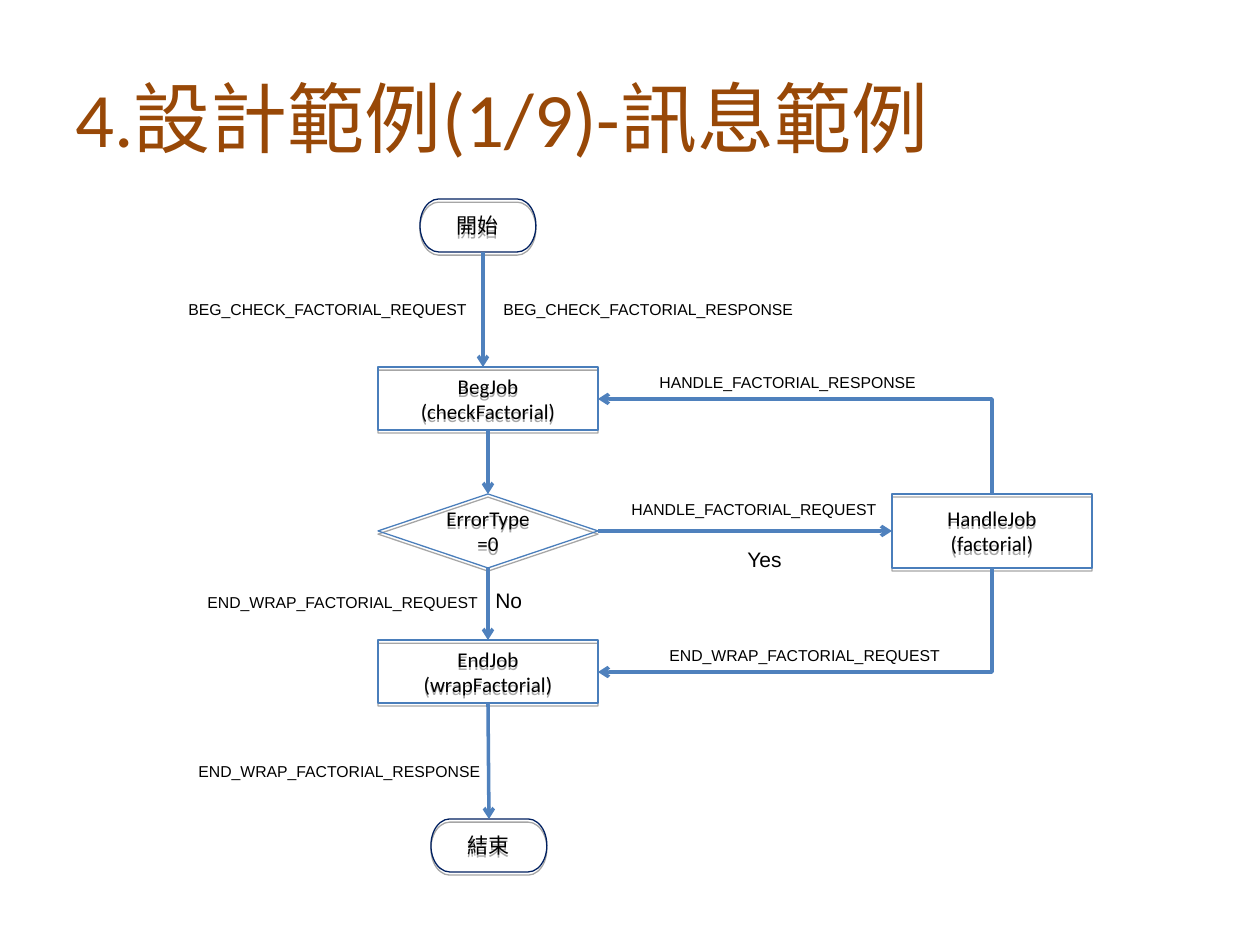
"""Build the message example flowchart slide."""
from dataclasses import dataclass

from lxml import etree
from pptx import Presentation
from pptx.dml.color import RGBColor
from pptx.enum.shapes import MSO_CONNECTOR, MSO_SHAPE
from pptx.enum.text import MSO_ANCHOR, PP_ALIGN
from pptx.oxml.ns import qn
from pptx.util import Pt

STRAIGHT, ELBOW = MSO_CONNECTOR.STRAIGHT, MSO_CONNECTOR.ELBOW
RECT = MSO_SHAPE.RECTANGLE
TERMINATOR = MSO_SHAPE.FLOWCHART_TERMINATOR
DECISION = MSO_SHAPE.FLOWCHART_DECISION
LEFT, CENTER = PP_ALIGN.LEFT, PP_ALIGN.CENTER
TOP, MIDDLE = MSO_ANCHOR.TOP, MSO_ANCHOR.MIDDLE
TOP_SIDE, LEFT_SIDE, BOTTOM_SIDE, RIGHT_SIDE = range(4)
EMU_PER_PX = 914400 / 126


@dataclass(frozen=True)
class Theme:
    heading: str = "984807"
    text: str = "000000"
    terminator: str = "002060"
    box: str = "4A7EBB"
    arrow: str = "4F81BD"
    shadow: str = "000000"
    title_size: int = 44
    node_size: int = 12
    label_size: int = 9
    box_width: float = 0.75
    arrow_width: int = 2
    node_font: str = "Calibri"
    label_font: str = "Arial"


def px(*values):
    return [round(v * EMU_PER_PX) for v in values]


def write(tf, text, *, size, font, color, align=LEFT, anchor=TOP):
    tf.word_wrap = True
    tf.vertical_anchor = anchor
    p = tf.paragraphs[0]
    p.text = text
    p.alignment = align
    for r in p.runs:
        r.font.size = Pt(size)
        r.font.name = font
        r.font.color.rgb = RGBColor.from_string(color)


class Flowchart:
    def __init__(self, slide, theme):
        self.slide = slide
        self.theme = theme

    def title(self, text, x, y, w, h):
        t = self.theme
        sp = self.slide.shapes.add_textbox(*px(x, y, w, h))
        write(sp.text_frame, text, size=t.title_size, font=t.node_font,
              color=t.heading, anchor=MIDDLE)

    def label(self, text, x, y, w, h=32, size=None):
        t = self.theme
        sp = self.slide.shapes.add_textbox(*px(x, y, w, h))
        write(sp.text_frame, text, size=size or t.label_size,
              font=t.label_font, color=t.text)

    def node(self, kind, text, x, y, w, h):
        t = self.theme
        sp = self.slide.shapes.add_shape(kind, *px(x, y, w, h))
        sp.fill.background()
        color = t.terminator if kind == TERMINATOR else t.box
        sp.line.color.rgb = RGBColor.from_string(color)
        sp.line.width = Pt(t.box_width)
        sp.shadow.inherit = False
        effects = sp.element.spPr.find(qn("a:effectLst"))
        shadow = etree.SubElement(effects, qn("a:outerShdw"), blurRad="0",
                                  dist=str(Pt(1.8)), dir="5400000", rotWithShape="0")
        clr = etree.SubElement(shadow, qn("a:srgbClr"), val=t.shadow)
        etree.SubElement(clr, qn("a:alpha"), val="35000")
        write(sp.text_frame, text, size=t.node_size, font=t.node_font,
              color=t.text, align=CENTER, anchor=MIDDLE)
        return sp

    def arrow(self, x1, y1, x2, y2, kind=STRAIGHT):
        t = self.theme
        c = self.slide.shapes.add_connector(kind, *px(x1, y1, x2, y2))
        c.line.color.rgb = RGBColor.from_string(t.arrow)
        c.line.width = Pt(t.arrow_width)
        spPr = c.element.spPr
        etree.SubElement(spPr.find(qn("a:ln")), qn("a:tailEnd"), type="arrow")
        etree.SubElement(spPr, qn("a:effectLst"))
        return c

    def join(self, start, start_side, end, end_side):
        c = self.arrow(0, 0, 0, 0)
        c.begin_connect(start, start_side)
        c.end_connect(end, end_side)

    def corner(self, x1, y1, x2, y2):
        """Go vertically from the start, then turn left to the end."""
        cx, cy = (x1 + x2) / 2, (y1 + y2) / 2
        half_w, half_h = abs(y2 - y1) / 2, (x1 - x2) / 2
        turn = 1 if y2 > y1 else -1
        c = self.arrow(cx - half_w, cy - turn * half_h,
                       cx + half_w, cy + turn * half_h, ELBOW)
        spPr = c.element.spPr
        spPr.find(qn("a:xfrm")).set("rot", str(turn * 5400000 % 21600000))
        spPr.find(qn("a:prstGeom")).set("prst", "bentConnector2")


def main():
    prs = Presentation()
    prs.slide_width, prs.slide_height = px(1260, 945)
    theme = Theme()
    chart = Flowchart(prs.slides.add_slide(prs.slide_layouts[6]), theme)

    chart.title("4.設計範例(1/9)-訊息範例", 63, 38, 1134, 158)
    chart.node(TERMINATOR, "開始", 420, 199, 116, 53)
    handle = chart.node(RECT, "HandleJob\v(factorial)", 892, 494, 200, 74)
    finish = chart.node(TERMINATOR, "結束", 431, 819, 116, 53)
    beg = chart.node(RECT, "BegJob\v(checkFactorial)", 378, 367, 220, 63)
    end = chart.node(RECT, "EndJob\v(wrapFactorial)", 378, 640, 220, 63)
    check = chart.node(DECISION, "ErrorType=0", 378, 494, 220, 74)

    chart.arrow(483, 252, 483, 367)
    chart.join(beg, BOTTOM_SIDE, check, TOP_SIDE)
    chart.join(check, BOTTOM_SIDE, end, TOP_SIDE)
    chart.join(end, BOTTOM_SIDE, finish, TOP_SIDE)
    chart.join(check, RIGHT_SIDE, handle, LEFT_SIDE)
    chart.corner(992, 494, 598, 399)
    chart.corner(992, 568, 598, 672)

    wide, narrow = 328, 298
    for text, x, y, w in (
        ("BEG_CHECK_FACTORIAL_REQUEST", 176, 294, wide),
        ("BEG_CHECK_FACTORIAL_RESPONSE", 491, 294, wide),
        ("HANDLE_FACTORIAL_RESPONSE", 647, 367, narrow),
        ("HANDLE_FACTORIAL_REQUEST", 619, 494, narrow),
        ("END_WRAP_FACTORIAL_REQUEST", 195, 587, narrow),
        ("END_WRAP_FACTORIAL_REQUEST", 657, 640, narrow),
        ("END_WRAP_FACTORIAL_RESPONSE", 186, 756, wide),
    ):
        chart.label(text, x, y, w)
    for text, x, y in (("Yes", 735, 540), ("No", 483, 581)):
        chart.label(text, x, y, 63, 38, size=theme.node_size)

    prs.save("out.pptx")


if __name__ == "__main__":
    main()
